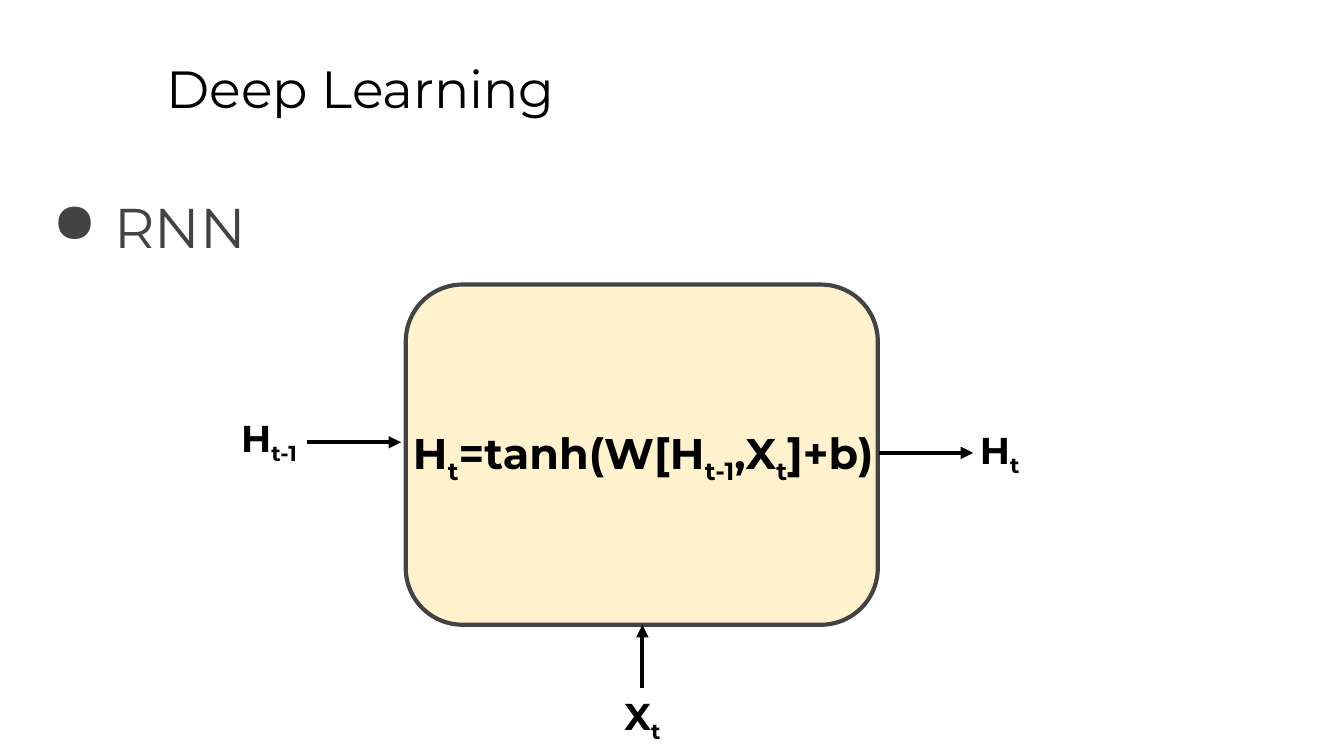
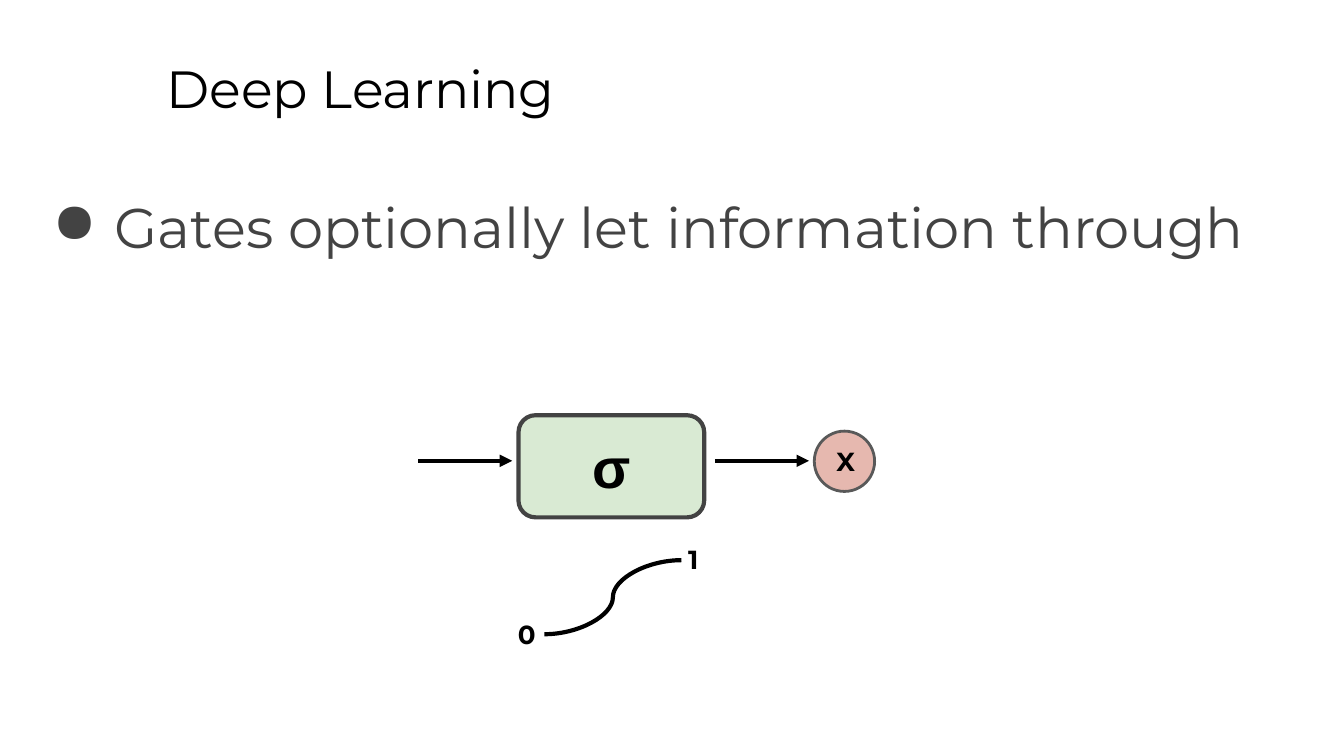
import pptx
import pptx.dml.color
import pptx.enum.shapes
import pptx.enum.text
import pptx.oxml
import pptx.oxml.ns
import pptx.util

Cm = pptx.util.Cm
Pt = pptx.util.Pt
SHAPE = pptx.enum.shapes.MSO_SHAPE
CONNECTOR = pptx.enum.shapes.MSO_CONNECTOR
ALIGN = pptx.enum.text.PP_ALIGN
ANCHOR = pptx.enum.text.MSO_ANCHOR

FONT = "Montserrat"
BLACK = "000000"
GREY = "434343"
CELL_FILL = "FFF2CC"
GATE_FILL = "D9EAD3"
PRODUCT_FILL = "E6B8AF"
PRODUCT_LINE = "595959"
LINE_WIDTH = 2.25
ARROW_LENGTH = 1.78
LABEL_HEIGHT = 0.94
VARIABLE_WIDTH = 4.37
LIMIT_WIDTH = 1.47
FRAME_FORMAT = {
    "word_wrap": True,
    "margin_left": Cm(0.25),
    "margin_right": Cm(0.25),
    "margin_top": Cm(0.25),
    "margin_bottom": Cm(0.25),
}


def set_formats(target, formats):
    for key, value in formats.items():
        setattr(target, key, value)


def set_color(color_format, hex_color):
    color_format.rgb = pptx.dml.color.RGBColor.from_string(hex_color)


def append_xml(parent, tag, attributes=""):
    namespace = pptx.oxml.ns.nsdecls("a")
    parent.append(pptx.oxml.parse_xml(f"<a:{tag} {namespace} {attributes}/>"))


def write_text(frame, text, size, color=BLACK, bold=True, font=FONT,
               align=ALIGN.CENTER, anchor=ANCHOR.TOP):
    """Write text whose subscripts stand between bars, as in H|t|."""
    set_formats(frame, {**FRAME_FORMAT, "vertical_anchor": anchor})
    paragraph = frame.paragraphs[0]
    paragraph.alignment = align
    for index, part in enumerate(text.split("|")):
        if not part:
            continue
        run = paragraph.add_run()
        run.text = part
        set_formats(run.font, {"name": font, "size": Pt(size), "bold": bold})
        set_color(run.font.color, color)
        if index % 2:
            run._r.get_or_add_rPr().set("baseline", "-25000")
    return paragraph


def add_label(slide, left, top, width, text, size, height=LABEL_HEIGHT, **style):
    label = slide.shapes.add_textbox(Cm(left), Cm(top), Cm(width), Cm(height))
    return write_text(label.text_frame, text, size, **style)


def add_heading(slide, title, topic):
    add_label(slide, 2.9, 0.81, 21.64, title, 28, height=1.6,
              bold=False, align=ALIGN.LEFT)
    bullet = add_label(slide, 0.64, 3.2, 24.76, topic, 30, height=2.39,
                       color=GREY, bold=False, align=ALIGN.LEFT)
    bullet.line_spacing = 1.15
    properties = bullet._p.get_or_add_pPr()
    properties.set("marL", str(Cm(1.27)))
    properties.set("indent", str(Cm(-1.17)))
    append_xml(properties, "buClr")
    append_xml(properties[-1], "srgbClr", f'val="{GREY}"')
    append_xml(properties, "buChar", 'char="●"')


def add_node(slide, kind, left, top, width, height, fill,
             line=GREY, line_width=LINE_WIDTH):
    node = slide.shapes.add_shape(kind, Cm(left), Cm(top), Cm(width), Cm(height))
    node.shadow.inherit = False
    node.fill.solid()
    set_color(node.fill.fore_color, fill)
    set_color(node.line.color, line)
    node.line.width = Pt(line_width)
    return node


def add_line(slide, start, end, kind=CONNECTOR.STRAIGHT, arrow=True):
    line = slide.shapes.add_connector(kind, *(Cm(value) for value in start + end))
    set_color(line.line.color, BLACK)
    line.line.width = Pt(LINE_WIDTH)
    if arrow:
        append_xml(line.line._get_or_add_ln(), "tailEnd", 'type="triangle"')
    append_xml(line._element.spPr, "effectLst")


def add_flow(slide, left, y):
    add_line(slide, (left, y), (left + ARROW_LENGTH, y))


def build_rnn(slide):
    add_heading(slide, "Deep Learning", "RNN")
    add_node(slide, SHAPE.ROUNDED_RECTANGLE, 7.67, 5.38, 8.92, 6.43, CELL_FILL)
    add_flow(slide, 5.8, 8.36)
    add_flow(slide, 16.61, 8.56)
    add_line(slide, (12.14, 13), (12.14, 11.81))
    for text, left, top in (
        ("H|t-1|", 2.9, 7.59),
        ("X|t|", 9.96, 12.85),
        ("H|t|", 16.71, 7.82),
    ):
        add_label(slide, left, top, VARIABLE_WIDTH, text, 20)
    add_label(slide, 7.37, 7.82, 9.58, "H|t|=tanh(W[H|t-1|,X|t|]+b)", 23)


def build_gate(slide):
    add_heading(slide, "Deep Learning", "Gates optionally let information through")
    gate = add_node(slide, SHAPE.ROUNDED_RECTANGLE, 9.8, 7.85, 3.51, 1.93, GATE_FILL)
    write_text(gate.text_frame, "σ", 30, font="Arial", anchor=ANCHOR.MIDDLE)
    for left in (7.9, 13.51):
        add_flow(slide, left, 8.71)
    add_line(slide, (10.29, 11.99), (12.88, 10.59), CONNECTOR.CURVE, arrow=False)
    for text, left, top in (("0", 9.22, 11.43), ("1", 12.37, 10.03)):
        add_label(slide, left, top, LIMIT_WIDTH, text, 14)
    product = add_node(slide, SHAPE.OVAL, 15.39, 8.15, 1.14, 1.14, PRODUCT_FILL,
                       line=PRODUCT_LINE, line_width=1.5)
    write_text(product.text_frame, "X", 14, align=ALIGN.LEFT, anchor=ANCHOR.MIDDLE)


def main():
    deck = pptx.Presentation()
    set_formats(deck, {"slide_width": Cm(25.4), "slide_height": Cm(14.29)})
    blank = deck.slide_layouts[6]
    for build in (build_rnn, build_gate):
        build(deck.slides.add_slide(blank))
    deck.save("out.pptx")


if __name__ == "__main__":
    main()
